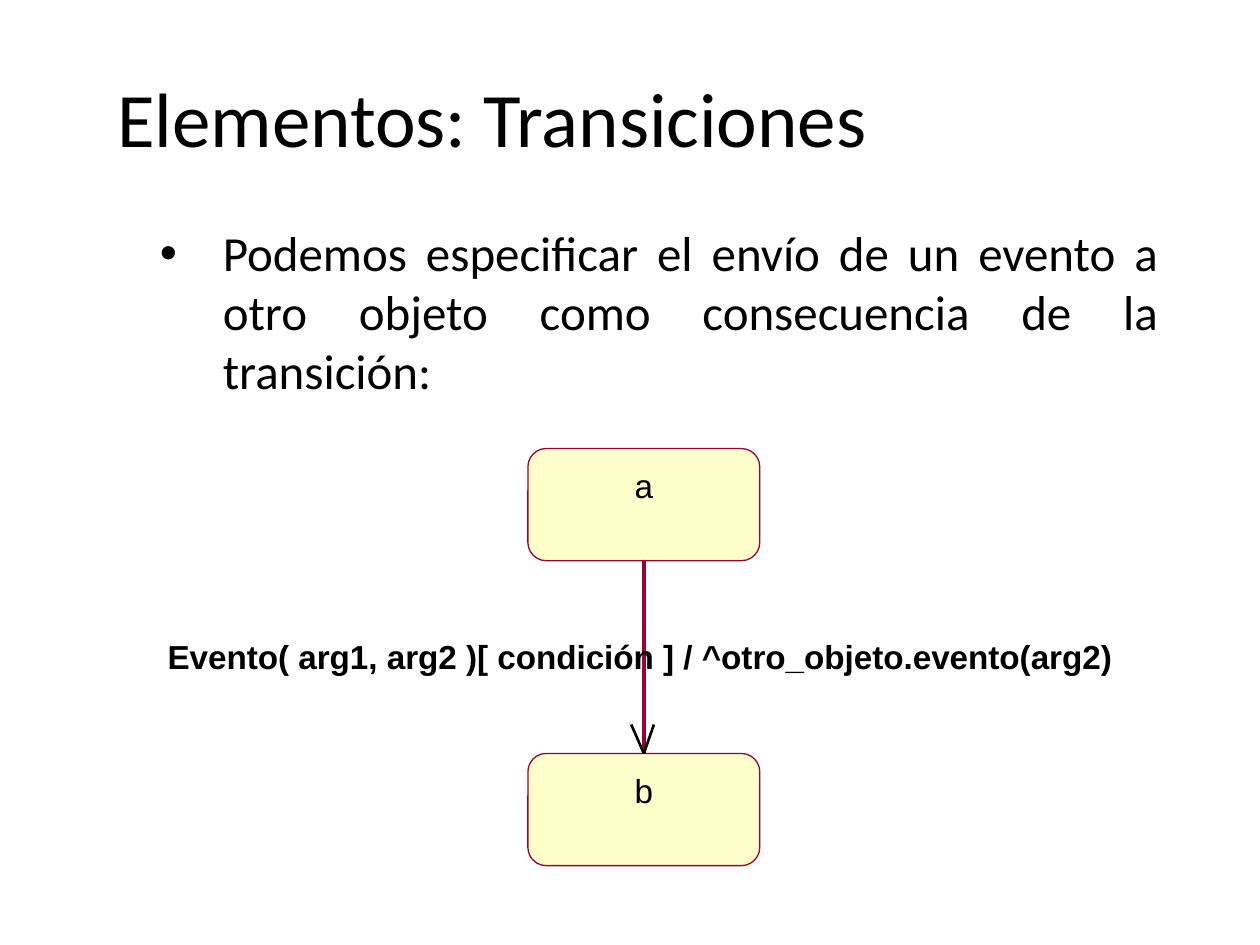
from lxml import etree
from pptx import Presentation
from pptx.dml.color import RGBColor
from pptx.enum.shapes import MSO_CONNECTOR, MSO_SHAPE
from pptx.enum.text import MSO_ANCHOR, PP_ALIGN
from pptx.oxml.ns import qn
from pptx.util import Inches, Pt

STRAIGHT = MSO_CONNECTOR.STRAIGHT
ROUNDED = MSO_SHAPE.ROUNDED_RECTANGLE
TOP, MIDDLE = MSO_ANCHOR.TOP, MSO_ANCHOR.MIDDLE
LEFT, CENTER, JUSTIFY = PP_ALIGN.LEFT, PP_ALIGN.CENTER, PP_ALIGN.JUSTIFY
TITLE_ONLY = 5
BLACK, CREAM, CRIMSON = "000000", "FFFFCC", "990033"


def color(hex_value):
    return RGBColor.from_string(hex_value)


def write(frame, text, size, font="Arial", bold=False, align=LEFT,
          anchor=TOP, wrap=True, insets=(0.1, 0.05)):
    """Fill a text frame; insets are horizontal and vertical inches."""
    frame.word_wrap = wrap
    frame.vertical_anchor = anchor
    frame.margin_left = frame.margin_right = Inches(insets[0])
    frame.margin_top = frame.margin_bottom = Inches(insets[1])
    paragraph = frame.paragraphs[0]
    paragraph.alignment = align
    run = paragraph.add_run()
    run.text = text
    run.font.name = font
    run.font.size = Pt(size)
    run.font.bold = bold
    run.font.color.rgb = color(BLACK)
    return paragraph


def place_title(slide, left, top, width, height):
    title = slide.shapes.title
    title.left, title.top = Inches(left), Inches(top)
    title.width, title.height = Inches(width), Inches(height)
    write(title.text_frame, "Elementos: Transiciones", 44, font="Calibri",
          anchor=MIDDLE)


def add_explanation(slide, left, top, width, height):
    box = slide.shapes.add_textbox(Inches(left), Inches(top), Inches(width), Inches(height))
    paragraph = write(
        box.text_frame,
        "Podemos especificar el envío de un evento a otro objeto "
        "como consecuencia de la transición:",
        28, font="Calibri", align=JUSTIFY)
    properties = paragraph._p.get_or_add_pPr()
    properties.set("marL", str(Inches(0.69)))
    properties.set("indent", str(Inches(-0.5)))
    etree.SubElement(properties, qn("a:buFont")).set("typeface", "Arial")
    etree.SubElement(properties, qn("a:buChar")).set("char", "•")


def add_state(slide, name, left, top, width, height):
    state = slide.shapes.add_shape(ROUNDED, Inches(left), Inches(top), Inches(width), Inches(height))
    state.adjustments[0] = 0.163
    state.shadow.inherit = False
    state.fill.solid()
    state.fill.fore_color.rgb = color(CREAM)
    state.line.color.rgb = color(CRIMSON)
    state.line.width = Pt(0)
    write(state.text_frame, name, 19, align=CENTER, insets=(0, 0.09))
    return state


def add_line(slide, start, end, hex_value, width):
    line = slide.shapes.add_connector(STRAIGHT, *map(Inches, start + end))
    line.line.color.rgb = color(hex_value)
    line.line.width = Pt(width)
    etree.SubElement(line._element.spPr, qn("a:effectLst"))
    return line


def add_transition_diagram(slide, left, top, width, height):
    """Two stacked states, the arrow between them and its label."""
    state_width, state_height = 1.84, 0.89
    state_left = left + 2.86
    target_top = top + height - state_height
    source = add_state(slide, "a", state_left, top, state_width, state_height)
    target = add_state(slide, "b", state_left, target_top, state_width, state_height)

    center = state_left + state_width / 2
    tip = (center, target_top)
    arrow = add_line(slide, (center, top + state_height), tip, CRIMSON, 0)
    arrow.begin_connect(source, 2)
    arrow.end_connect(target, 0)
    for barb_offset in (0.08, -0.1):
        add_line(slide, tip, (center + barb_offset, target_top - 0.23), BLACK, 1.5)

    label = slide.shapes.add_textbox(Inches(left), Inches(top + 1.49), Inches(width), Inches(0.32))
    write(label.text_frame,
          "Evento( arg1, arg2 )[ condición ] / ^otro_objeto.evento(arg2)",
          19, bold=True, wrap=False, insets=(0, 0))


def main():
    presentation = Presentation()
    presentation.slide_width = Inches(10)
    presentation.slide_height = Inches(7.5)
    slide = presentation.slides.add_slide(presentation.slide_layouts[TITLE_ONLY])
    place_title(slide, 0.83, 0.3, 8.83, 1.25)
    add_explanation(slide, 0.98, 1.72, 8.31, 1.55)
    add_transition_diagram(slide, 1.33, 3.56, 7.6, 3.31)
    presentation.save("out.pptx")


if __name__ == "__main__":
    main()
